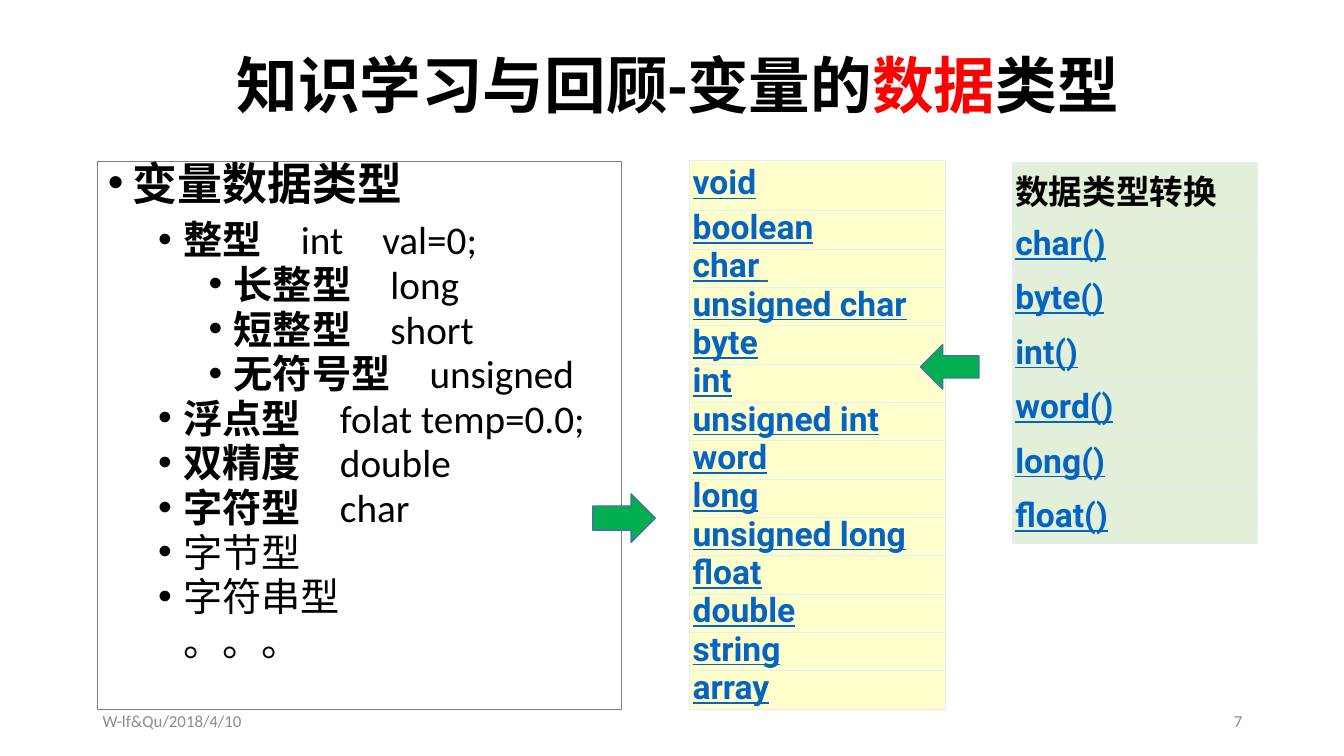
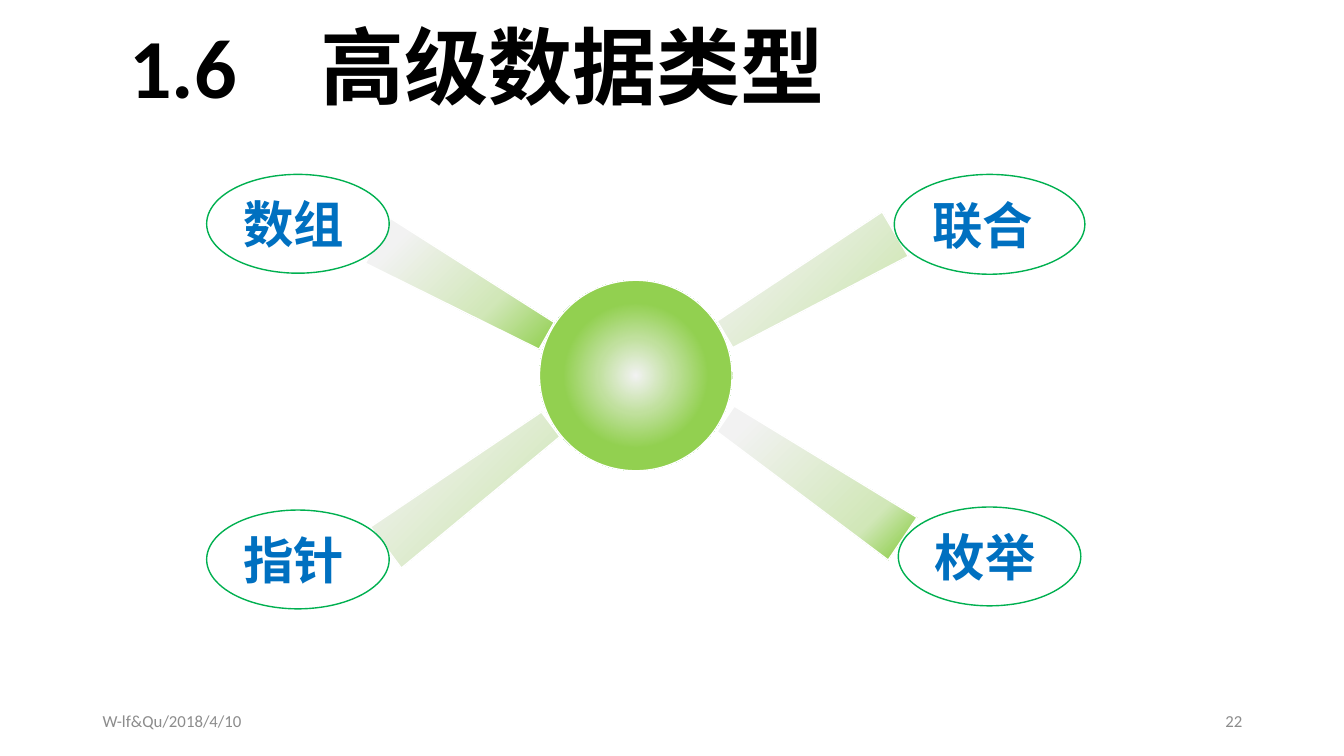
from lxml import etree
from pptx import Presentation
from pptx.dml.color import RGBColor
from pptx.enum.shapes import MSO_SHAPE as Shape
from pptx.enum.text import MSO_ANCHOR as Anchor, PP_ALIGN as Align
from pptx.oxml import parse_xml
from pptx.oxml.ns import nsdecls, qn
from pptx.util import Emu, Inches, Pt

COLORS = {
    "black": "000000", "white": "FFFFFF", "red": "FF0000", "gray": "8C8C8C",
    "frame": "7F7F7F", "link": "0563C1", "slate": "336699", "label": "0070C0",
    "yellow": "FFFFCC", "mint": "E2F0D9", "rule": "E3EDF5",
    "green": "00B050", "arrow_edge": "43739E",
    "lime": "92D050", "soft_lime": "C0E09D", "pale_lime": "D1E7B8", "mist": "F2F2F2",
}

deck = Presentation()
deck.slide_width, deck.slide_height = Inches(13.33), Inches(7.5)
# The grid has 100 columns and 100 rows
COLUMN, ROW = deck.slide_width / 100, deck.slide_height / 100


def draw(page, kind, share, fill=None, line=None, weight=1):
    """Add a shape, or a text box when kind is None, at a share of the grid."""
    left, top, width, height = share
    frame = [Emu(int(n)) for n in (left * COLUMN, top * ROW, width * COLUMN, height * ROW)]
    if kind is None:
        box = page.shapes.add_textbox(*frame)
    else:
        box = page.shapes.add_shape(kind, *frame)
        box.shadow.inherit = False
        box.line.color.rgb = RGBColor.from_string(COLORS[line])
        box.line.width = Pt(weight)
        box.fill.background()
        if isinstance(fill, str):
            box.fill.solid()
            box.fill.fore_color.rgb = RGBColor.from_string(COLORS[fill])
        elif fill:
            stops, focus = fill
            marks = "".join(f'<a:gs pos="{at * 1000}"><a:srgbClr val="{COLORS[name]}"/></a:gs>'
                            for at, name in stops)
            edges = " ".join(f'{side}="{n * 1000}"' for side, n in zip("ltrb", focus))
            properties = box.fill._xPr
            properties.replace(properties.find(qn("a:noFill")), parse_xml(
                f'<a:gradFill {nsdecls("a")} rotWithShape="1"><a:gsLst>{marks}</a:gsLst>'
                f'<a:path path="circle"><a:fillToRect {edges}/></a:path></a:gradFill>'))
    box.text_frame.word_wrap = True
    box.text_frame.vertical_anchor = Anchor.MIDDLE
    return box


def write(para, spans, size, color="black", bold=True, face="Calibri",
          align=Align.LEFT, spacing=None, underline=None):
    """Fill a paragraph; each span is (text, overrides of bold or color)."""
    para.alignment = align
    if spacing:
        para.line_spacing = spacing
    font = para.font
    font.name, font.size, font.bold, font.underline = face, Pt(size), bold, underline
    font.color.rgb = RGBColor.from_string(COLORS[color])
    for text, changes in spans:
        span = para.add_run()
        span.text = text
        if "bold" in changes:
            span.font.bold = changes["bold"]
        if "color" in changes:
            span.font.color.rgb = RGBColor.from_string(COLORS[changes["color"]])


# Titles and footers of both pages
PAGES = [
    ("7", (7.28, 2, 86.27, 19.33), 44,
     [("知识学习与回顾-变量的", {}), ("数据", {"color": "red"}), ("类型", {})]),
    ("22", (3.6, 3.2, 63.77, 12.4), 60, [("1.6　高级数据类型", {})]),
]
pages = []
for number, share, size, spans in PAGES:
    page = deck.slides.add_slide(deck.slide_layouts[6])
    title = draw(page, None, share)
    write(title.text_frame.paragraphs[0], spans, size, align=Align.CENTER, spacing=0.9)
    for left, text, align in ((6.9, "W-lf&Qu/2018/4/10", Align.LEFT),
                              (70.67, number, Align.RIGHT)):
        footer = draw(page, None, (left, 92.67, 22.51, 5.33))
        write(footer.text_frame.paragraphs[0], [(text, {})], 12, "gray", False, align=align)
    pages.append(page)
types_page, advanced_page = pages

# Outline of the data types: level, bold name, plain example
OUTLINE = [
    (0, "变量数据类型", ""),
    (1, "整型", "　int　val=0;"),
    (2, "长整型", "　long"),
    (2, "短整型", "　short"),
    (2, "无符号型", "　unsigned"),
    (1, "浮点型", "　folat temp=0.0;"),
    (1, "双精度", "　double"),
    (1, "字符型", "　char"),
    (1, "", "字节型"),
    (1, "", "字符串型"),
    (1, "", "。。。"),
]
outline = draw(types_page, Shape.RECTANGLE, (7.28, 21.33, 38.93, 72.53), None, "frame", 0.75)
outline.text_frame.vertical_anchor = Anchor.TOP
for index, (level, name, example) in enumerate(OUTLINE):
    para = outline.text_frame.add_paragraph() if index else outline.text_frame.paragraphs[0]
    para.level = level
    bulleted = example != "。。。"
    properties = para._p.get_or_add_pPr()
    properties.set("marL", str(Inches(0.25 + 0.5 * level)))
    properties.set("indent", str(Inches(-0.25) if bulleted else 0))
    if bulleted:
        etree.SubElement(properties, qn("a:buFont")).set("typeface", "Arial")
        etree.SubElement(properties, qn("a:buChar")).set("char", "•")
    else:
        etree.SubElement(properties, qn("a:buNone"))
    if index:
        para.space_before = Pt(5)
    else:
        para.space_after = Pt(6)
    spans = [(text, {"bold": bold}) for text, bold in ((name, True), (example, False)) if text]
    write(para, spans, 28 if level else 32, bold=bool(name), spacing=0.8)

# Tables of type names and conversions
TYPES = ["void", "boolean", "char", "unsigned char", "byte", "int", "unsigned int", "word",
         "long", "unsigned long", "float", "double", "string", "array"]
CONVERSIONS = ["数据类型转换", "char()", "byte()", "int()", "word()", "long()", "float()"]
TABLES = [
    (TYPES, 51.31, 21.2, 19.05, 6.67, 4.95, "yellow", 0.8),
    (CONVERSIONS, 75.32, 21.47, 18.23, 7.2, 7.2, "mint", None),
]
for names, left, top, width, first_row, other_rows, fill, spacing in TABLES:
    height = first_row + other_rows * (len(names) - 1)
    frame = [Emu(int(n)) for n in (left * COLUMN, top * ROW, width * COLUMN, height * ROW)]
    table = types_page.shapes.add_table(len(names), 1, *frame).table
    table.first_row = table.horz_banding = False
    for index, name in enumerate(names):
        table.rows[index].height = Emu(int((other_rows if index else first_row) * ROW))
        cell = table.cell(index, 0)
        cell.margin_left = cell.margin_right = Inches(0.03)
        cell.margin_top = cell.margin_bottom = Inches(0.03)
        cell.vertical_anchor = Anchor.MIDDLE
        properties = cell._tc.get_or_add_tcPr()
        for side in ("lnL", "lnR", "lnT", "lnB"):
            properties.append(parse_xml(
                f'<a:{side} {nsdecls("a")} w="{Pt(0.6)}"><a:solidFill>'
                f'<a:srgbClr val="{COLORS["rule"]}"/></a:solidFill></a:{side}>'))
        cell.fill.solid()
        cell.fill.fore_color.rgb = RGBColor.from_string(COLORS[fill])
        heading = name == "数据类型转换"
        spans = [(name, {})] + ([(" ", {"color": "slate"})] if name == "char" else [])
        write(cell.text_frame.paragraphs[0], spans, 24, "black" if heading else "link",
              face="Roboto", spacing=spacing, underline=not heading)

# Arrows towards the type table
for kind, share in ((Shape.RIGHT_ARROW, (44.11, 65.33, 4.65, 6.4)),
                    (Shape.LEFT_ARROW, (68.49, 45.6, 4.35, 5.87))):
    draw(types_page, kind, share, "green", "arrow_edge")

# Hub of the advanced types
HUB = ([(0, "mist"), (28, "soft_lime"), (54, "lime"), (77, "lime"), (100, "green")],
       (50, 50, 50, 50))
draw(advanced_page, Shape.OVAL, (40.14, 37.07, 14.33, 25.2), HUB, "white")

# Spokes: left, top, height, rotation, position of the pale stop
SPOKES = [
    (58.36, 24.53, 26.13, 59.5, 23),
    (32.48, 25.33, 25.6, 299.4, 36),
    (32.93, 50.67, 27.2, 233.2, 23),
    (58.66, 49.2, 28.27, 124.1, 23),
]
for left, top, height, rotation, pale in SPOKES:
    fade = ([(5, "lime"), (pale, "pale_lime"), (84, "mist"), (96, "mist")], (100, 100, 0, 0))
    spoke = draw(advanced_page, Shape.FLOWCHART_MANUAL_OPERATION,
                 (left, top, 3.83, height), fade, "white")
    spoke.rotation = rotation

# Labelled ovals at the ends of the spokes
OVALS = [
    ("联合", (66.54, 23.07, 14.18, 13.2)),
    ("枚举", (66.84, 67.07, 13.58, 13.07)),
    ("指针", (15.38, 67.47, 13.58, 13.07)),
    ("数组", (15.38, 23.07, 13.58, 13.07)),
]
for name, share in OVALS:
    oval = draw(advanced_page, Shape.OVAL, share, "white", "green")
    write(oval.text_frame.paragraphs[0], [(name, {})], 36, "label")

deck.save("out.pptx")
